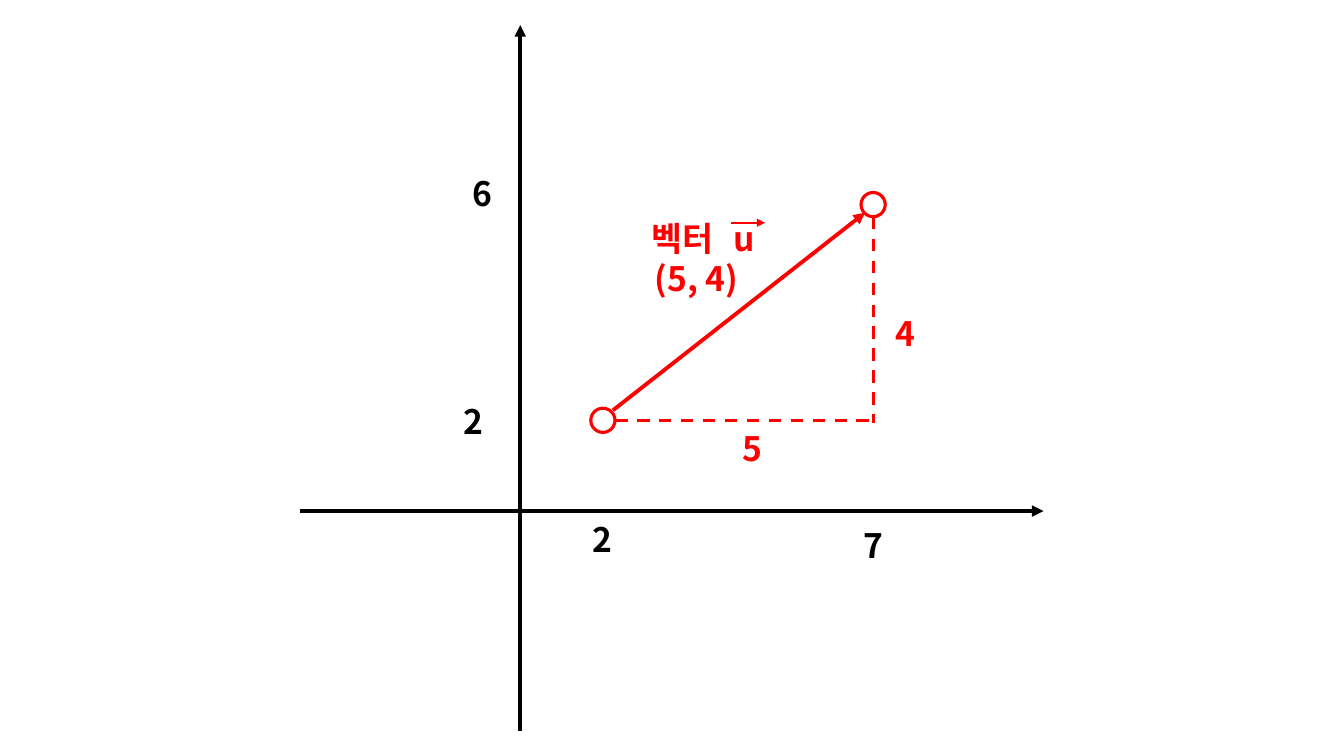
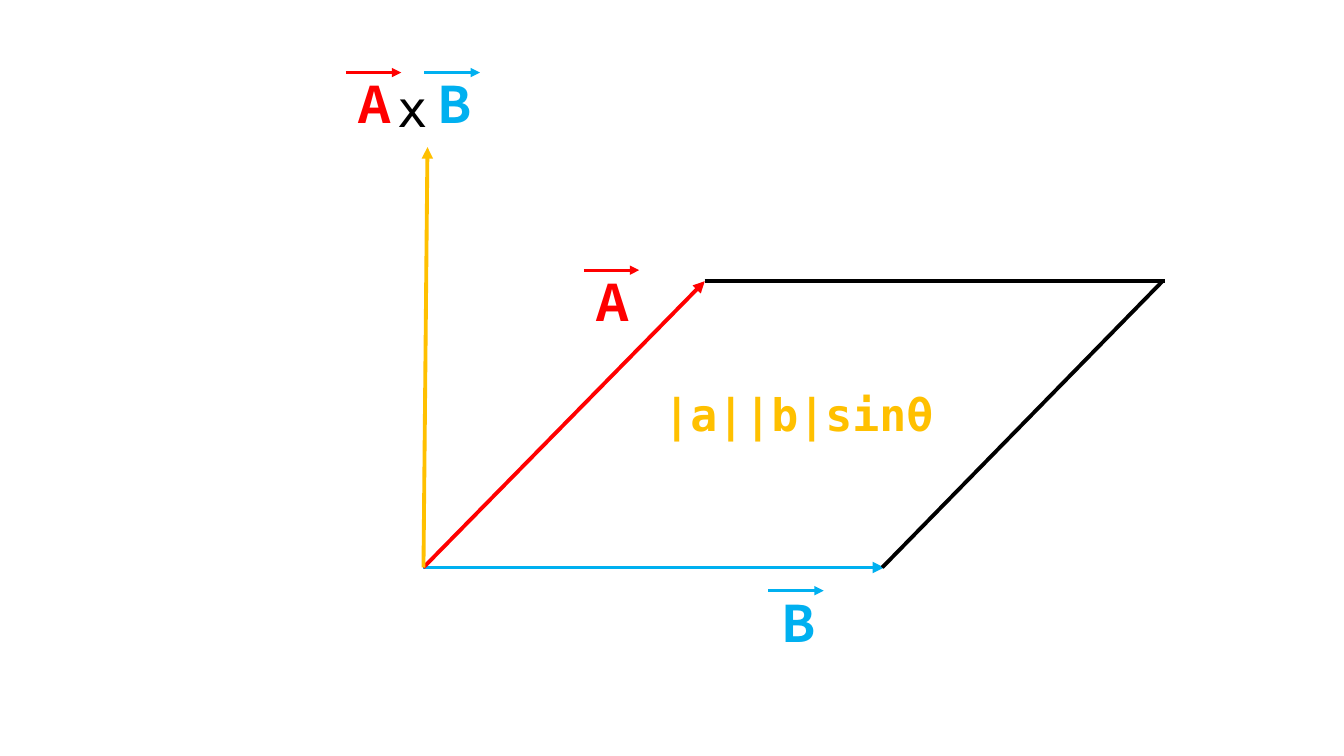
from lxml.etree import SubElement
from pptx import Presentation
from pptx.dml.color import RGBColor
from pptx.enum.dml import MSO_LINE
from pptx.enum.shapes import MSO_CONNECTOR, MSO_SHAPE
from pptx.enum.text import MSO_AUTO_SIZE, PP_ALIGN
from pptx.oxml.ns import qn
from pptx.util import Inches, Pt

COLORS = {"black": "000000", "red": "FF0000", "blue": "00B0F0", "gold": "FFC000"}
SANS = "Noto Sans CJK KR"
MONO = "DejaVu Sans Mono"
THICK, MEDIUM, THIN = 2.75, 2.25, 1.5

PLANE_ARROWS = [
    ((5.16, 7.25), (5.16, 0.25), "black"),
    ((2.98, 5.07), (10.35, 5.07), "black"),
    ((6.08, 4.07), (8.58, 2.11), "red"),
]
POINT_CENTERS = [(5.98, 4.17), (8.66, 2.03)]
POINT_SIZE = 0.24
COMPONENTS = [((6.1, 4.17), (8.66, 4.17)), ((8.66, 2.15), (8.66, 4.2))]
NUMBER_SIZE = (0.46, 0.5)
NUMBERS = [
    ("2", 5.75, 5.1, "black"),
    ("2", 4.47, 3.93, "black"),
    ("7", 8.43, 5.16, "black"),
    ("6", 4.56, 1.67, "black"),
    ("5", 7.23, 4.2, "red"),
    ("4", 8.75, 3.06, "red"),
]
VECTOR_CAPTION = ["벡터", "(5, 4)"]

ORIGIN = (4.2, 5.63)
A_TIP = (6.99, 2.79)
PRODUCT_ARROWS = [
    (ORIGIN, (8.77, 5.63), "blue"),
    (ORIGIN, A_TIP, "red"),
    (ORIGIN, (4.24, 1.46), "gold"),
]
FAR_EDGES = [(A_TIP, (11.55, 2.79)), ((8.75, 5.63), (11.53, 2.79))]
VECTOR_LETTERS = [
    ("B", 4.24, 0.68, "blue"),
    ("A", 3.46, 0.68, "red"),
    ("A", 5.82, 2.64, "red"),
    ("B", 7.65, 5.82, "blue"),
]


def add_line(slide, start, end, color, width=THICK, arrow=False, dashed=False):
    points = [Inches(value) for value in (*start, *end)]
    connector = slide.shapes.add_connector(MSO_CONNECTOR.STRAIGHT, *points)
    connector.line.color.rgb = RGBColor.from_string(COLORS[color])
    connector.line.width = Pt(width)
    if dashed:
        connector.line.dash_style = MSO_LINE.DASH
    if arrow:
        SubElement(connector.line._get_or_add_ln(), qn("a:tailEnd"), type="triangle")
    SubElement(connector._element.spPr, qn("a:effectLst"))


def add_text(slide, lines, box, color, size=24, font=SANS, bold=True):
    shape = slide.shapes.add_textbox(*(Inches(value) for value in box))
    frame = shape.text_frame
    frame.text = "\n".join(lines)
    frame.word_wrap = True
    frame.auto_size = MSO_AUTO_SIZE.SHAPE_TO_FIT_TEXT
    for paragraph in frame.paragraphs:
        paragraph.alignment = PP_ALIGN.CENTER
        for run in paragraph.runs:
            run.font.size = Pt(size)
            run.font.bold = bold
            run.font.name = font
            run.font.color.rgb = RGBColor.from_string(COLORS[color])
            SubElement(run.font._element, qn("a:ea"), typeface=font)
    return frame


def add_point(slide, center):
    left, top = (Inches(value - POINT_SIZE / 2) for value in center)
    shape = slide.shapes.add_shape(
        MSO_SHAPE.OVAL, left, top, Inches(POINT_SIZE), Inches(POINT_SIZE))
    shape.shadow.inherit = False
    shape.fill.background()
    shape.line.color.rgb = RGBColor.from_string(COLORS["red"])
    shape.line.width = Pt(MEDIUM)


def add_vector_letter(slide, letter, left, top, color, size=36, height=0.71,
                      offset=(-0.03, 0.04), length=0.55, width=MEDIUM):
    add_text(slide, [letter], (left, top, 0.41, height), color, size)
    x, y = left + offset[0], top + offset[1]
    add_line(slide, (x, y), (x + length, y), color, width, arrow=True)


def build_plane(slide):
    for start, end, color in PLANE_ARROWS:
        add_line(slide, start, end, color, arrow=True)
    for center in POINT_CENTERS:
        add_point(slide, center)
    for start, end in COMPONENTS:
        add_line(slide, start, end, "red", MEDIUM, dashed=True)
    for number, left, top, color in NUMBERS:
        add_text(slide, [number], (left, top, *NUMBER_SIZE), color)
    caption = add_text(slide, VECTOR_CAPTION, (6.36, 2.11, 1.1, 0.91), "red")
    caption.paragraphs[0].alignment = PP_ALIGN.LEFT
    add_vector_letter(slide, "u", 7.18, 2.11, "red", size=24, height=0.5,
                      offset=(0.07, 0.1), length=0.34, width=THIN)


def build_cross_product(slide):
    add_text(slide, ["x"], (3.76, 0.72, 0.66, 0.71), "black", 36, MONO, bold=False)
    for letter in VECTOR_LETTERS:
        add_vector_letter(slide, *letter)
    for start, end, color in PRODUCT_ARROWS:
        add_line(slide, start, end, color, arrow=True)
    for start, end in FAR_EDGES:
        add_line(slide, start, end, "black")
    add_text(slide, ["|a||b|sinθ"], (6.14, 3.79, 3.56, 0.64), "gold", 32, MONO)


presentation = Presentation()
presentation.slide_width = Inches(13.33)
presentation.slide_height = Inches(7.5)
for build in (build_plane, build_cross_product):
    build(presentation.slides.add_slide(presentation.slide_layouts[6]))
presentation.save("out.pptx")
